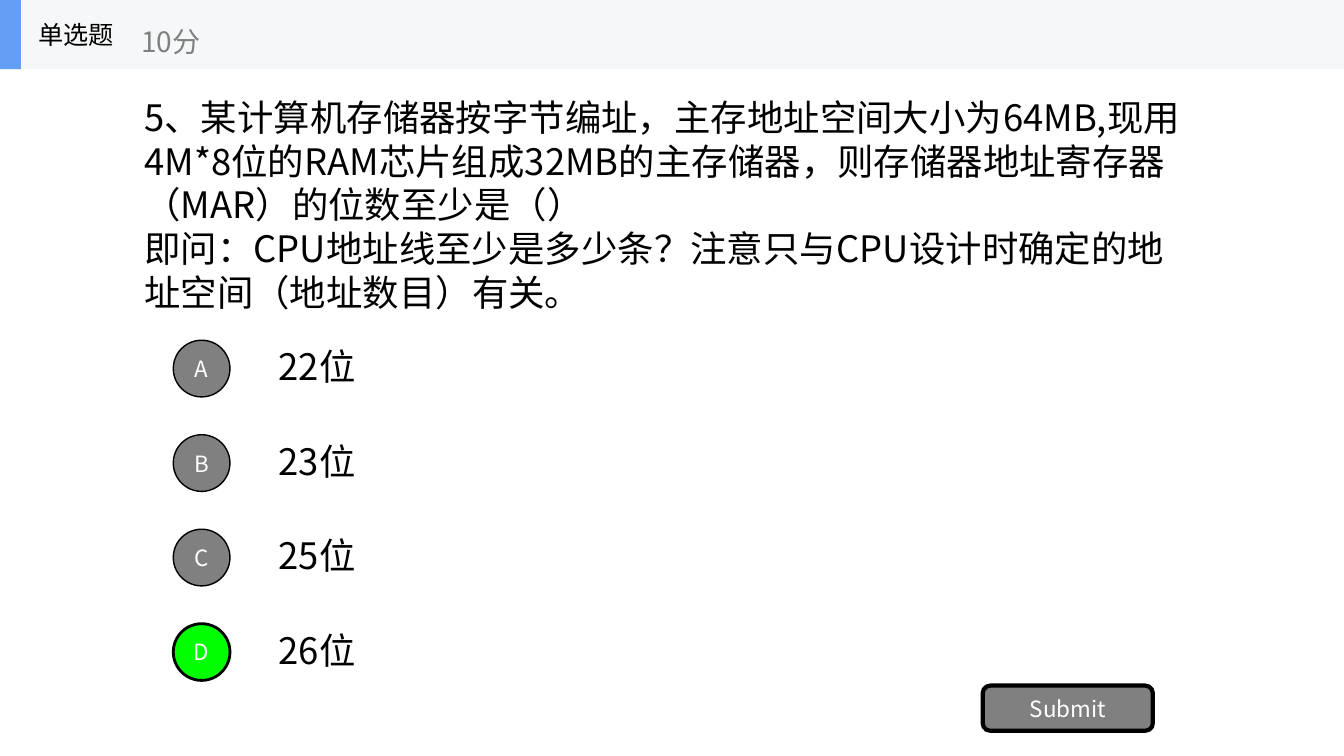
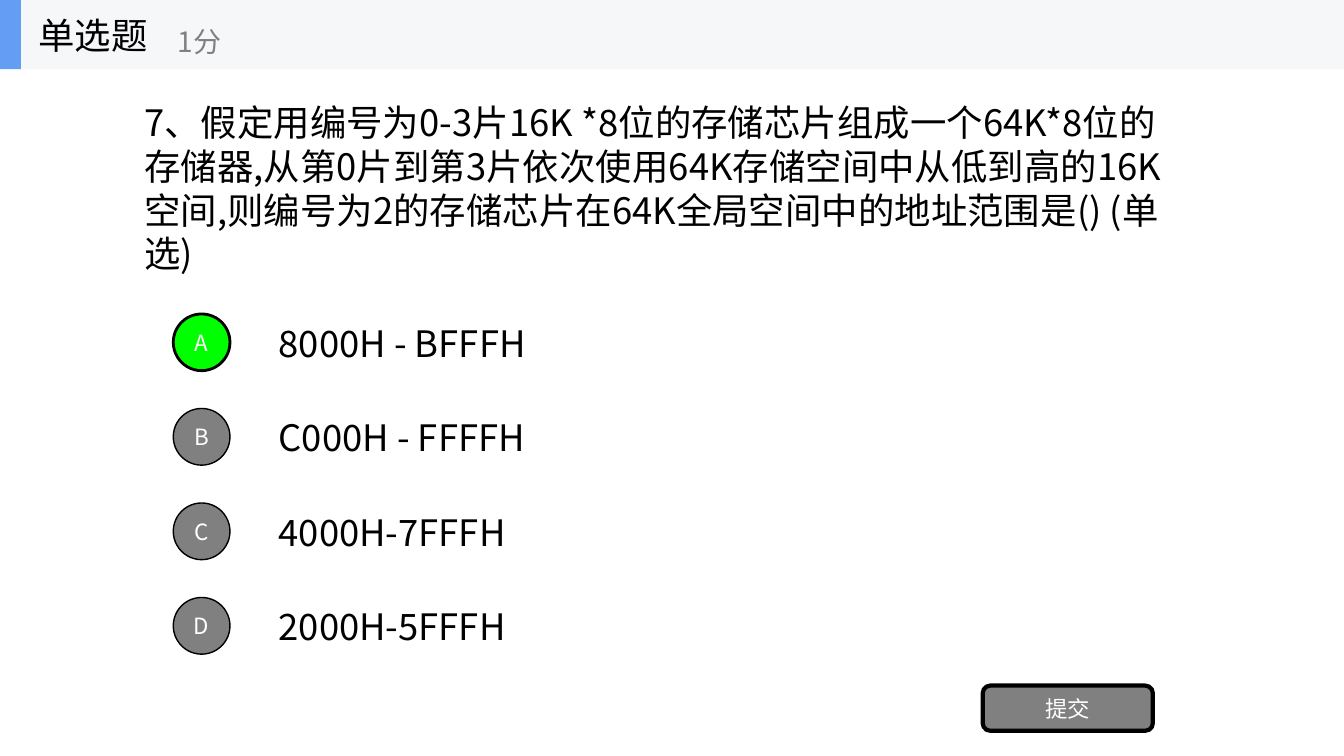
from dataclasses import dataclass

from lxml import etree
from pptx import Presentation
from pptx.dml.color import RGBColor
from pptx.enum.shapes import MSO_SHAPE
from pptx.enum.text import MSO_ANCHOR, MSO_AUTO_SIZE, PP_ALIGN
from pptx.oxml.ns import qn
from pptx.util import Pt

RECT = MSO_SHAPE.RECTANGLE
OVAL = MSO_SHAPE.OVAL
ROUND_RECT = MSO_SHAPE.ROUNDED_RECTANGLE
MIDDLE = MSO_ANCHOR.MIDDLE
LEFT, CENTER = PP_ALIGN.LEFT, PP_ALIGN.CENTER
FIXED, GROW = MSO_AUTO_SIZE.NONE, MSO_AUTO_SIZE.SHAPE_TO_FIT_TEXT


@dataclass(frozen=True)
class Theme:
    font: str = "Noto Sans CJK SC"
    ink: str = "000000"
    paper: str = "FFFFFF"
    gray: str = "808080"
    correct: str = "00FF00"
    band: str = "F6F7F8"
    accent: str = "639EF4"
    body: int = 26
    points: int = 20
    button: int = 16


T = Theme()
PX = 9525
BAND_H = 66
OPTION_PITCH = 90
CIRCLE = 54


def add_text(shapes, box, text, size, color=T.ink, wrap=True, fit=FIXED):
    sp = shapes.add_textbox(*(v * PX for v in box))
    sp.text_frame.word_wrap = wrap
    sp.text_frame.auto_size = fit
    style_text(sp, text, size, color, LEFT)


def style_text(sp, text, size, color, align):
    tf = sp.text_frame
    tf.text = text
    tf.vertical_anchor = MIDDLE
    for p in tf.paragraphs:
        p.alignment = align
        for r in p.runs:
            r.font.size = Pt(size)
            r.font.name = T.font
            r.font.color.rgb = RGBColor.from_string(color)
            etree.SubElement(r.font._element, qn("a:ea"), typeface=T.font)


questions = [
    {
        "title_size": 18, "points": "10分", "points_x": 125,
        "text": "5、某计算机存储器按字节编址，主存地址空间大小为64MB,现用4M*8位的RAM芯片组成32MB的主存储器，则存储器地址寄存器（MAR）的位数至少是（）\n"
                "即问：CPU地址线至少是多少条？注意只与CPU设计时确定的地址空间（地址数目）有关。",
        "box": (128, 66, 1024, 257), "fit": FIXED,
        "options": [("22位", 896), ("23位", 896), ("25位", 896), ("26位", 896)],
        "answer": "D", "circle_y": 324, "label_y": 315, "label_h": 67,
        "button": "Submit",
    },
    {
        "title_size": 26, "points": "1分", "points_x": 160,
        "text": "7、假定用编号为0-3片16K *8位的存储芯片组成一个64K*8位的存储器,从第0片到第3片依次使用64K存储空间中从低到高的16K空间,则编号为2的存储芯片在64K全局空间中的地址范围是() (单选)",
        "box": (128, 90, 1009, 178), "fit": GROW,
        "options": [("8000H - BFFFH", 277), ("C000H - FFFFH", 277),
                    ("4000H-7FFFH", 255), ("2000H-5FFFH", 255)],
        "answer": "A", "circle_y": 299, "label_y": 301, "label_h": 51,
        "button": "提交",
    },
]

prs = Presentation()
prs.slide_width, prs.slide_height = 1280 * PX, 720 * PX

for q in questions:
    s = prs.slides.add_slide(prs.slide_layouts[6])
    s.background.fill.solid()
    s.background.fill.fore_color.rgb = RGBColor.from_string(T.paper)

    add_text(s.shapes, q["box"], q["text"], T.body, fit=q["fit"])

    buttons = [(ROUND_RECT, (936, 653, 162, 43), q["button"], T.gray, 3)]
    for i, (letter, (label, width)) in enumerate(zip("ABCD", q["options"])):
        dy = i * OPTION_PITCH
        add_text(s.shapes, (256, q["label_y"] + dy, width, q["label_h"]),
                 label, T.body, fit=q["fit"])
        fill, line = (T.correct, 2) if letter == q["answer"] else (T.gray, 1)
        circle = (165, q["circle_y"] + dy, CIRCLE, CIRCLE)
        buttons.append((OVAL, circle, letter, fill, line))

    for kind, box, text, fill, line in buttons:
        sp = s.shapes.add_shape(kind, *(v * PX for v in box))
        sp.shadow.inherit = False
        sp.fill.solid()
        sp.fill.fore_color.rgb = RGBColor.from_string(fill)
        sp.line.color.rgb = RGBColor.from_string(T.ink)
        sp.line.width = Pt(line)
        style_text(sp, text, T.button, T.paper, CENTER)

    header = s.shapes.add_group_shape().shapes
    for width, color in ((1280, T.band), (20, T.accent)):
        sp = header.add_shape(RECT, 0, 0, width * PX, BAND_H * PX)
        sp.shadow.inherit = False
        sp.fill.solid()
        sp.fill.fore_color.rgb = RGBColor.from_string(color)
        sp.line.fill.background()
    add_text(header, (27, 0, 200, BAND_H), "单选题", q["title_size"], wrap=False)
    add_text(header, (q["points_x"], 12, 240, 54), q["points"], T.points,
             T.gray, wrap=False)

prs.save("out.pptx")
